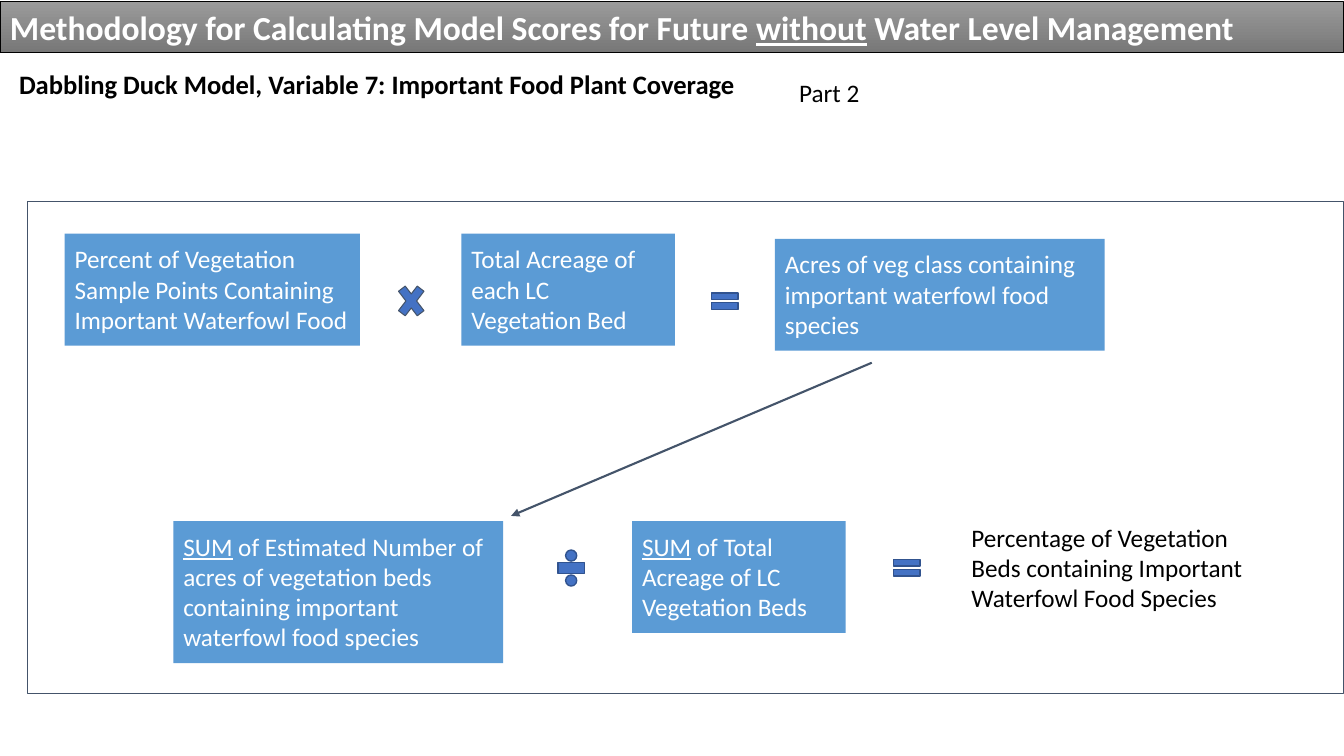
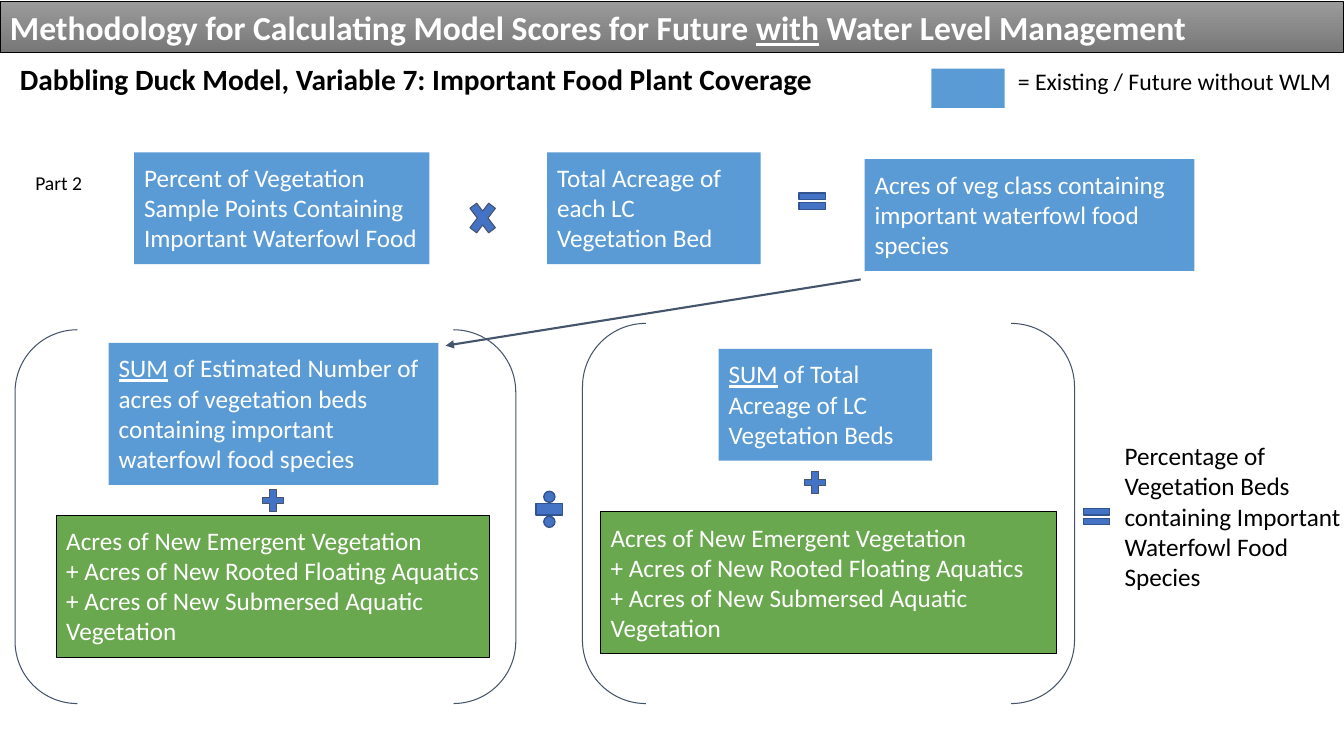
import pptx
import pptx.dml.color
import pptx.enum.shapes
import pptx.enum.text
import pptx.oxml
import pptx.oxml.ns
import pptx.util

Cm = pptx.util.Cm
Pt = pptx.util.Pt
SHAPES = pptx.enum.shapes.MSO_SHAPE

WHITE, BLACK = "FFFFFF", "000000"
BLUE, GREEN, SLATE = "5B9BD5", "6AA84F", "44546A"
SIGN_BLUE, SIGN_EDGE = "4472C4", "31538F"
SLIDE_WIDTH, SLIDE_HEIGHT = 33.87, 19.05
PADDING = 0.25

# Wording; underscores enclose underlined words
TITLE = "Methodology for Calculating Model Scores for Future _{}_ Water Level Management"
HEADING = "Dabbling Duck Model, Variable 7: Important Food Plant Coverage"
RESULT = "Percentage of Vegetation Beds containing Important Waterfowl Food Species"
NEW_ACRES = (
    "Acres of New Emergent Vegetation\n"
    "+ Acres of New Rooted Floating Aquatics\n"
    "+ Acres of New Submersed Aquatic Vegetation"
)

# Terms of the calculation: text, width, height, right padding
TERMS = {
    "percent": ("Percent of Vegetation Sample Points Containing Important Waterfowl Food",
                7.44, 2.82, PADDING),
    "acreage": ("Total Acreage of each LC Vegetation Bed", 5.38, 2.82, 0.7),
    "acres": ("Acres of veg class containing important waterfowl food species",
              8.31, 2.82, PADDING),
    "sum of acres": ("_SUM_ of Estimated Number of acres of vegetation beds "
                     "containing important waterfowl food species", 8.31, 3.58, PADDING),
    "sum of acreage": ("_SUM_ of Total Acreage of LC Vegetation Beds", 5.38, 2.82, PADDING),
}

# Signs: shape, width, height, line colour, line width
SIGNS = {
    "×": (SHAPES.MATH_MULTIPLY, 0.91, 1.19, SLATE, 0.75),
    "÷": (SHAPES.MATH_DIVIDE, 0.91, 1.19, SIGN_EDGE, 1),
    "=": (SHAPES.MATH_EQUAL, 0.91, 0.7, SIGN_EDGE, 1),
    "+": (SHAPES.MATH_PLUS, 0.71, 0.74, SLATE, 0.75),
}


def rgb(value):
    return pptx.dml.color.RGBColor.from_string(value)


class Deck:
    """Holds the style and the current slide."""

    font = "Calibri"

    def __init__(self):
        self.presentation = pptx.Presentation()
        self.presentation.slide_width = Cm(SLIDE_WIDTH)
        self.presentation.slide_height = Cm(SLIDE_HEIGHT)
        self.slide = None

    def fill_text(self, shape, text, size, color, bold=False, right=PADDING, vertical=PADDING):
        frame = shape.text_frame
        frame.word_wrap = True
        frame.auto_size = pptx.enum.text.MSO_AUTO_SIZE.NONE
        frame.vertical_anchor = pptx.enum.text.MSO_ANCHOR.TOP
        frame.margin_left, frame.margin_right = Cm(PADDING), Cm(right)
        frame.margin_top = frame.margin_bottom = Cm(vertical)
        for index, line in enumerate(text.split("\n")):
            paragraph = frame.add_paragraph() if index else frame.paragraphs[0]
            paragraph.alignment = pptx.enum.text.PP_ALIGN.LEFT
            for position, part in enumerate(line.split("_")):
                if not part:
                    continue
                run = paragraph.add_run()
                run.text = part
                run.font.name = self.font
                run.font.size = Pt(size)
                run.font.bold = bold
                run.font.underline = position % 2 == 1
                run.font.color.rgb = rgb(color)

    def new_slide(self, scenario):
        """Starts a slide with its title on a grey gradient band."""
        self.slide = self.presentation.slides.add_slide(self.presentation.slide_layouts[5])
        title = self.slide.shapes.title
        title.left, title.top = Cm(0), Cm(0.05)
        title.width, title.height = Cm(SLIDE_WIDTH), Cm(1.27)
        title.fill.gradient()
        title.fill.gradient_angle = 270
        for stop, color in zip(title.fill.gradient_stops, ("9A9A9A", "787878")):
            stop.color.rgb = rgb(color)
        title.line.color.rgb = rgb(BLACK)
        title.line.width = Pt(0.75)
        self.fill_text(title, TITLE.format(scenario), 24, WHITE, bold=True, vertical=0.13)

    def shape(self, kind, left, top, width, height, fill=None, line=None, weight=0.75):
        shape = self.slide.shapes.add_shape(kind, Cm(left), Cm(top), Cm(width), Cm(height))
        shape.shadow.inherit = False
        if fill:
            shape.fill.solid()
            shape.fill.fore_color.rgb = rgb(fill)
        else:
            shape.fill.background()
        if line:
            shape.line.color.rgb = rgb(line)
            shape.line.width = Pt(weight)
        else:
            shape.line.fill.background()
        return shape

    def label(self, text, left, top, width, height, size=18, bold=False):
        box = self.slide.shapes.add_textbox(Cm(left), Cm(top), Cm(width), Cm(height))
        self.fill_text(box, text, size, BLACK, bold, right=0)

    def term(self, name, left, top):
        text, width, height, right = TERMS[name]
        box = self.shape(SHAPES.RECTANGLE, left, top, width, height, BLUE)
        self.fill_text(box, text, 18, WHITE, right=right)

    def new_acres(self, left, top, width):
        box = self.shape(SHAPES.RECTANGLE, left, top, width, 3.58, GREEN, BLACK)
        self.fill_text(box, NEW_ACRES, 18, WHITE, right=0)

    def sign(self, symbol, left, top):
        kind, width, height, line, weight = SIGNS[symbol]
        self.shape(kind, left, top, width, height, SIGN_BLUE, line, weight)

    def arrow(self, *ends):
        connector = self.slide.shapes.add_connector(
            pptx.enum.shapes.MSO_CONNECTOR.STRAIGHT, *(Cm(value) for value in ends))
        connector.line.color.rgb = rgb(SLATE)
        connector.line.width = Pt(1.5)
        properties = connector.element.spPr
        head = pptx.oxml.ns.qn("a:tailEnd")
        line = properties.find(pptx.oxml.ns.qn("a:ln"))
        line.append(line.makeelement(head, {"type": "triangle"}))
        properties.append(properties.makeelement(pptx.oxml.ns.qn("a:effectLst"), {}))


def without_management(deck):
    deck.new_slide("without")
    deck.label(HEADING, 0.23, 1.47, 19, 1.3, size=19, bold=True)
    deck.label("Part 2", 19.89, 1.7, 6.55, 1.27)
    deck.shape(SHAPES.RECTANGLE, 0.69, 5.08, 33.18, 12.4, line=SLATE)

    # Acres per vegetation class
    deck.term("percent", 1.63, 5.89)
    deck.sign("×", 9.91, 6.99)
    deck.term("acreage", 11.63, 5.89)
    deck.sign("=", 17.81, 7.24)
    deck.term("acres", 19.53, 6.02)
    deck.arrow(21.97, 9.14, 12.88, 13)

    # Percentage of beds
    deck.term("sum of acres", 4.37, 13.13)
    deck.sign("÷", 13.94, 13.72)
    deck.term("sum of acreage", 15.93, 13.13)
    deck.sign("=", 22.4, 13.96)
    deck.label(RESULT, 24.23, 12.9, 7.6, 2.82)


def with_management(deck):
    deck.new_slide("with")
    deck.label(HEADING, 0.25, 1.3, 22.5, 1.42, size=21, bold=True)
    deck.label("Part 2", 0.64, 4.06, 2.5, 1.12, size=14)

    # Legend
    deck.shape(SHAPES.RECTANGLE, 23.47, 1.73, 1.85, 0.99, BLUE)
    deck.label("= Existing / Future without WLM", 25.4, 1.43, 8.47, 1.2, size=17)

    # Acres per vegetation class
    deck.term("percent", 3.38, 3.84)
    deck.sign("×", 11.71, 4.9)
    deck.term("acreage", 13.79, 3.84)
    deck.sign("=", 20.02, 4.72)
    deck.term("acres", 21.79, 4.01)
    deck.arrow(21.69, 7.04, 11.23, 8.71)

    # Bracketed sum of acres
    deck.shape(SHAPES.DOUBLE_BRACKET, 0.38, 8.31, 12.62, 9.42, line=SLATE)
    deck.term("sum of acres", 2.74, 8.64)
    deck.sign("+", 6.53, 12.24)
    deck.new_acres(1.42, 12.98, 10.92)
    deck.sign("÷", 13.39, 12.24)

    # Bracketed sum of acreage
    deck.shape(SHAPES.DOUBLE_BRACKET, 14.68, 8.15, 12.4, 9.58, line=SLATE)
    deck.term("sum of acreage", 18.11, 8.79)
    deck.sign("+", 20.19, 11.79)
    deck.new_acres(15.14, 12.9, 11.48)

    # Percentage of beds
    deck.sign("=", 27.18, 12.67)
    deck.label(RESULT, 28.09, 10.85, 5.78, 4.37)


def main():
    deck = Deck()
    without_management(deck)
    with_management(deck)
    deck.presentation.save("out.pptx")


if __name__ == "__main__":
    main()
